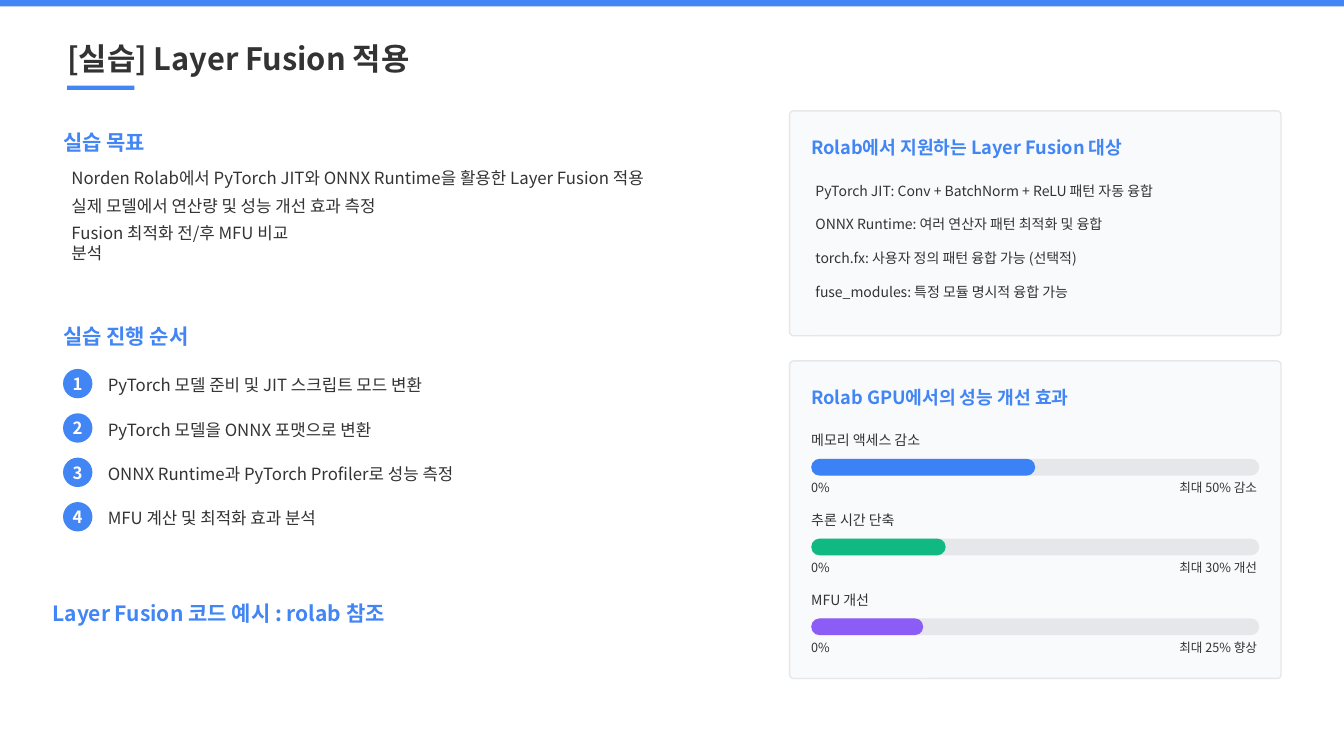
from pptx import Presentation, util as u
from pptx.dml.color import RGBColor
from pptx.enum import shapes, text
from pptx.oxml.ns import qn
from lxml import etree

Pt = u.Pt
KIND = shapes.MSO_SHAPE
BLUE, INK, PALE, GREY = "4285F4", "333333", "F9FAFB", "E5E7EB"


def tint(code):
    return RGBColor.from_string(code)


class Deck:
    """Style of the deck and the slide being built."""

    face = "Noto Sans CJK KR"

    def __init__(self):
        self.prs = Presentation()
        self.prs.slide_width, self.prs.slide_height = Pt(960), Pt(540)
        self.slide = self.prs.slides.add_slide(self.prs.slide_layouts[4])
        self.items = self.slide.shapes

    def run(self, para, words, size, color=INK, bold=False):
        run = para.add_run()
        run.text = words
        font = run.font
        font.name, font.size, font.bold = self.face, Pt(size), bold
        font.color.rgb = tint(color)
        east = etree.SubElement(run._r.get_or_add_rPr(), qn("a:ea"))
        east.set("typeface", self.face)

    def frame(self, shape, anchor=text.MSO_ANCHOR.MIDDLE):
        """Clear the insets and fix the size of a text frame."""
        frame = shape.text_frame
        frame.margin_left = frame.margin_right = 0
        frame.margin_top = frame.margin_bottom = 0
        frame.auto_size = text.MSO_AUTO_SIZE.NONE
        frame.word_wrap = True
        frame.vertical_anchor = anchor
        return frame

    def place(self, shape, x, y, w, h):
        shape.left, shape.top, shape.width, shape.height = map(Pt, (x, y, w, h))

    def title(self, words, x, y, w, h):
        shape = self.items.title
        self.place(shape, x, y, w, h)
        para = self.frame(shape).paragraphs[0]
        para.alignment = text.PP_ALIGN.LEFT
        self.run(para, words, 22, bold=True)

    def list(self, idx, rows, x, y, w, size, line, gap):
        """Fill a body placeholder and bring it to the front; "\\n" breaks a line."""
        shape = self.slide.placeholders[idx]
        self.items._spTree.append(shape._element)
        self.place(shape, x, y, w, len(rows) * (line + gap) + line)
        frame = self.frame(shape, text.MSO_ANCHOR.TOP)
        for i, row in enumerate(rows):
            para = frame.add_paragraph() if i else frame.paragraphs[0]
            para.alignment = text.PP_ALIGN.LEFT
            para.line_spacing = Pt(line)
            para.space_before, para.space_after = Pt(0), Pt(gap)
            props = para._p.get_or_add_pPr()
            props.set("marL", "0")
            props.set("indent", "0")
            etree.SubElement(props, qn("a:buNone"))
            for j, part in enumerate(row.split("\n")):
                if j:
                    para.add_line_break()
                self.run(para, part, size)

    def label(self, words, x, y, w, h, size, color=INK, bold=False):
        shape = self.items.add_textbox(*map(Pt, (x, y, w, h)))
        self.run(self.frame(shape).paragraphs[0], words, size, color, bold)

    def block(self, x, y, w, h, fill, kind=KIND.RECTANGLE, line=None, curve=None):
        shape = self.items.add_shape(kind, *map(Pt, (x, y, w, h)))
        shape.shadow.inherit = False
        shape.fill.solid()
        shape.fill.fore_color.rgb = tint(fill)
        if line:
            shape.line.color.rgb = tint(line)
            shape.line.width = Pt(1)
        else:
            shape.line.fill.background()
        if curve is not None:
            shape.adjustments[0] = curve
        return shape

    def card(self, y, h, head):
        self.block(564, y, 351, h, PALE, KIND.ROUNDED_RECTANGLE, GREY, 2.7 / h)
        self.label(head, 579.5, y + 16.5, 300, 19.5, 13, BLUE, True)

    def badge(self, mark, x, y, size):
        shape = self.block(x, y, size, size, BLUE, KIND.OVAL)
        para = self.frame(shape).paragraphs[0]
        para.alignment = text.PP_ALIGN.CENTER
        self.run(para, mark, 12, "FFFFFF", True)

    def gauge(self, y, name, share, note, color):
        x, w = 579.5, 320
        self.label(name, x, y, 150, 15, 10)
        for part, fill in ((1, GREY), (share, color)):
            self.block(x, y + 21, w * part, 12, fill, KIND.ROUNDED_RECTANGLE, curve=0.5)
        self.label("0%", x, y + 35, 30, 13, 9)
        self.label(f"최대 {share:.0%} {note}", 842.4, y + 35, 68, 13, 9)


def main():
    deck = Deck()
    deck.block(0, 0, 960, 4.5, BLUE)
    deck.title("[실습] Layer Fusion 적용", 48, 25.2, 300, 33)
    deck.block(48, 61.2, 48, 3, BLUE)

    for head, x, y in (("실습 목표", 45, 90.7), ("실습 진행 순서", 45, 229.7),
                       ("Layer Fusion 코드 예시 : rolab 참조", 37.5, 427)):
        deck.label(head, x, y, 300, 21.5, 15, BLUE, True)

    deck.list(1, ["Norden Rolab에서 PyTorch JIT와 ONNX Runtime을 활용한 Layer Fusion 적용",
                  "실제 모델에서 연산량 및 성능 개선 효과 측정",
                  "Fusion 최적화 전/후 MFU 비교\n분석"],
              51, 120, 414, 12, 14.3, 5.3)

    steps = ["PyTorch 모델 준비 및 JIT 스크립트 모드 변환",
             "PyTorch 모델을 ONNX 포맷으로 변환",
             "ONNX Runtime과 PyTorch Profiler로 성능 측정",
             "MFU 계산 및 최적화 효과 분석"]
    pitch = 31.7
    for i in range(len(steps)):
        deck.badge(str(i + 1), 45, 263.5 + i * pitch, 21)
    deck.list(2, steps, 77, 268, 330, 12, 14.3, pitch - 14.3)

    deck.card(79.2, 160.6, "Rolab에서 지원하는 Layer Fusion 대상")
    deck.list(3, ["PyTorch JIT: Conv + BatchNorm + ReLU 패턴 자동 융합",
                  "ONNX Runtime: 여러 연산자 패턴 최적화 및 융합",
                  "torch.fx: 사용자 정의 패턴 융합 가능 (선택적)",
                  "fuse_modules: 특정 모듈 명시적 융합 가능"],
              582.5, 130.3, 310, 10, 12, 12)

    deck.card(257.8, 226.8, "Rolab GPU에서의 성능 개선 효과")
    gauges = (("메모리 액세스 감소", 0.5, "감소", "3B82F6"),
              ("추론 시간 단축", 0.3, "개선", "10B981"),
              ("MFU 개선", 0.25, "향상", "8B5CF6"))
    for i, (name, share, note, color) in enumerate(gauges):
        deck.gauge(306.7 + i * 57, name, share, note, color)

    spare = deck.slide.placeholders[4]._element
    spare.getparent().remove(spare)
    deck.prs.save("out.pptx")


if __name__ == "__main__":
    main()
